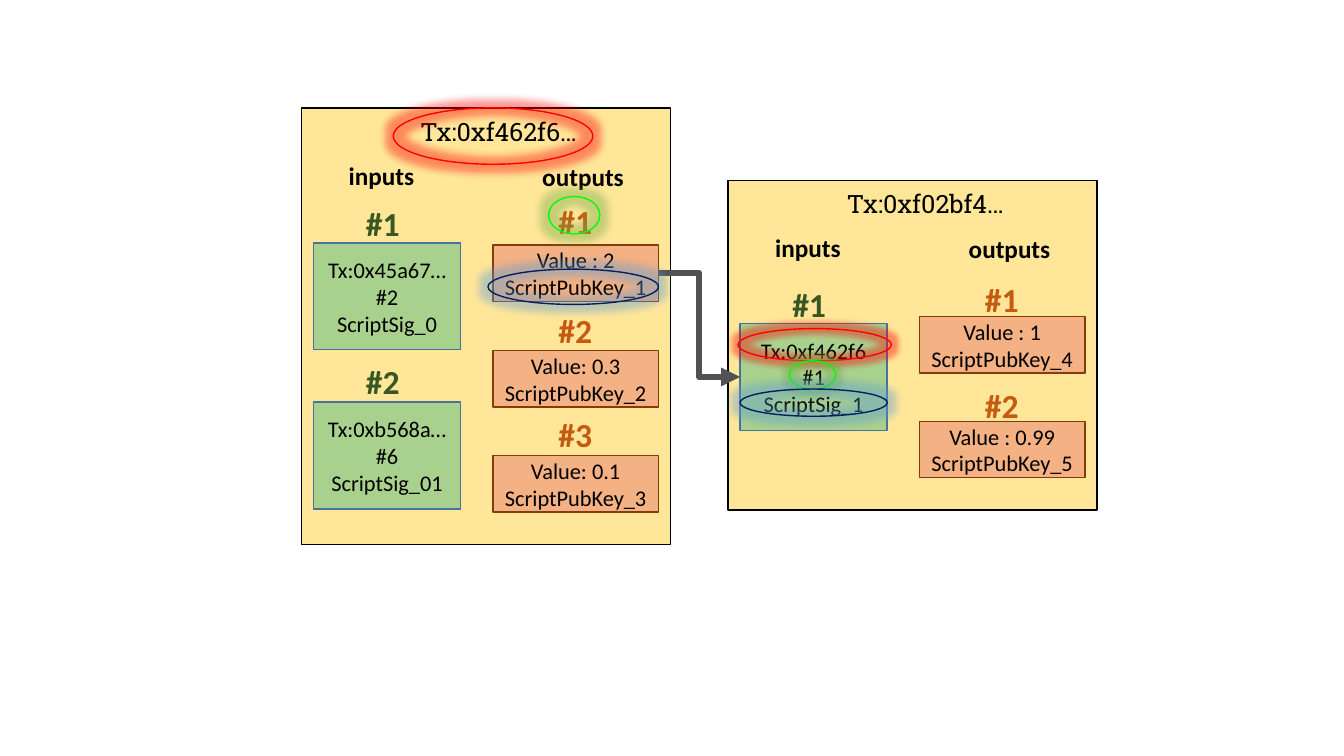
from lxml.etree import SubElement
from pptx import Presentation
from pptx.dml.color import RGBColor
from pptx.enum.shapes import MSO_CONNECTOR, MSO_SHAPE
from pptx.enum.text import MSO_ANCHOR, MSO_AUTO_SIZE, PP_ALIGN
from pptx.oxml.ns import qn
from pptx.util import Inches, Pt

BLACK = RGBColor(0x00, 0x00, 0x00)
PANEL_FILL = RGBColor(0xFF, 0xE6, 0x99)
INPUT_FILL = RGBColor(0xA9, 0xD1, 0x8E)
INPUT_LINE = RGBColor(0x43, 0x73, 0x9E)
INPUT_LABEL = RGBColor(0x38, 0x57, 0x23)
OUTPUT_FILL = RGBColor(0xF4, 0xB1, 0x83)
OUTPUT_LINE = RGBColor(0x84, 0x3C, 0x0B)
OUTPUT_LABEL = RGBColor(0xC5, 0x5A, 0x11)
ARROW = RGBColor(0x52, 0x52, 0x52)
RED = RGBColor(0xFF, 0x00, 0x00)
GREEN = RGBColor(0x00, 0xFF, 0x00)
NAVY = RGBColor(0x00, 0x20, 0x60)
GREEN_GLOW = RGBColor(0x70, 0xAD, 0x47)
BLUE_GLOW = RGBColor(0x5B, 0x9B, 0xD5)

# Places and sizes count cells of a square grid, ten to the inch.
CELL = Inches(0.1)
PANEL_WIDTH = 36.6
INPUT_SIZE = (14.6, 10.6)
OUTPUT_SIZE = (16.4, 5.6)
LABEL_SIZE = (5.7, 5.0)


def cells(*counts):
    return [round(count * CELL) for count in counts]


def add_outlined(slide, preset, place, line, fill=None):
    shape = slide.shapes.add_shape(preset, *cells(*place))
    shape.shadow.inherit = False
    if fill is None:
        shape.fill.background()
    else:
        shape.fill.solid()
        shape.fill.fore_color.rgb = fill
    shape.line.color.rgb = line
    shape.line.width = Pt(1)
    return shape


def format_font(paragraph, size, color=BLACK, name="Calibri", bold=False):
    font = paragraph.font
    font.size, font.name, font.bold = Pt(size), name, bold
    font.color.rgb = color


def add_text(slide, place, text, size=18, **style):
    frame = slide.shapes.add_textbox(*cells(*place)).text_frame
    frame.word_wrap = True
    frame.auto_size = MSO_AUTO_SIZE.SHAPE_TO_FIT_TEXT
    frame.text = text
    format_font(frame.paragraphs[0], size, **style)


def add_box(slide, place, lines, line, fill):
    box = add_outlined(slide, MSO_SHAPE.RECTANGLE, place, line, fill)
    frame = box.text_frame
    frame.vertical_anchor = MSO_ANCHOR.MIDDLE
    frame.text = "\n".join(lines)
    for paragraph in frame.paragraphs:
        paragraph.alignment = PP_ALIGN.CENTER
        format_font(paragraph, 16)
    return box


def add_transaction(slide, left, top, height, title, inputs, outputs):
    """Draw a panel; each entry is (label top, box top, lines). Return its boxes."""
    add_outlined(slide, MSO_SHAPE.RECTANGLE,
                 (left, top, PANEL_WIDTH, height), BLACK, PANEL_FILL)
    add_text(slide, (left + 10.8, top + 0.3, 19.8, 4), title, name="Roboto Slab")
    add_text(slide, (left + 3.7, top + 4.7, 9.5, 4), "inputs", bold=True)
    add_text(slide, (left + 22.9, top + 4.8, 10.4, 4), "outputs", bold=True)

    sides = (
        (inputs, 1.2, 5.4, INPUT_SIZE, INPUT_LABEL, INPUT_LINE, INPUT_FILL),
        (outputs, 19, 24.5, OUTPUT_SIZE, OUTPUT_LABEL, OUTPUT_LINE, OUTPUT_FILL),
    )
    boxes = []
    for entries, box_x, label_x, size, label_color, line, fill in sides:
        for number, (label_top, box_top, lines) in enumerate(entries, 1):
            boxes.append(add_box(slide, (left + box_x, box_top, *size),
                                 lines, line, fill))
            add_text(slide, (left + label_x, label_top, *LABEL_SIZE),
                     f"#{number}", 24, color=label_color, bold=True)
    return boxes


def add_effects(shape):
    return SubElement(shape._element.spPr, qn("a:effectLst"))


def add_spend_arrow(slide, output_box, input_box):
    arrow = slide.shapes.add_connector(MSO_CONNECTOR.ELBOW, 0, 0, 0, 0)
    arrow.begin_connect(output_box, 3)
    arrow.end_connect(input_box, 1)
    arrow.line.color.rgb = ARROW
    arrow.line.width = Pt(4.5)
    SubElement(arrow.line._get_or_add_ln(), qn("a:tailEnd"), type="triangle")
    add_effects(arrow)


def add_glowing_ring(slide, place, line, glow_color, radius):
    ring = add_outlined(slide, MSO_SHAPE.OVAL, place, line)
    effects = ring._element.spPr.find(qn("a:effectLst"))
    glow = SubElement(effects, qn("a:glow"), rad=str(Pt(radius)))
    color = SubElement(glow, qn("a:srgbClr"), val=str(glow_color))
    SubElement(color, qn("a:alpha"), val="40000")


def main():
    presentation = Presentation()
    presentation.slide_width = Inches(13.33)
    presentation.slide_height = Inches(7.5)
    slide = presentation.slides.add_slide(presentation.slide_layouts[6])

    funding_boxes = add_transaction(
        slide, 29.9, 10.7, 43.3, "Tx:0xf462f6…",
        [(19.6, 24.1, ("Tx:0x45a67…", "#2", "ScriptSig_0")),
         (35.3, 39.9, ("Tx:0xb568a…", "#6", "ScriptSig_01"))],
        [(19.4, 24.3, ("Value : 2", "ScriptPubKey_1")),
         (30.3, 34.8, ("Value: 0.3", "ScriptPubKey_2")),
         (40.6, 45.2, ("Value: 0.1", "ScriptPubKey_3"))])
    spending_boxes = add_transaction(
        slide, 72.2, 17.9, 32.7, "Tx:0xf02bf4…",
        [(27.7, 32.1, ("Tx:0xf462f6", "#1", "ScriptSig_1"))],
        [(27.2, 31.4, ("Value : 1", "ScriptPubKey_4")),
         (37.7, 41.8, ("Value : 0.99", "ScriptPubKey_5"))])

    first_output, spending_input = funding_boxes[2], spending_boxes[0]
    add_spend_arrow(slide, first_output, spending_input)

    for place, line, glow_color, radius in (
        ((39, 10.7, 19.8, 5.6), RED, RED, 11),
        ((73.2, 32.6, 15.2, 3.2), RED, RED, 8),
        ((78.3, 35.8, 4.6, 2.8), GREEN, GREEN_GLOW, 8),
        ((54.4, 19.5, 5.1, 3.7), GREEN, GREEN_GLOW, 11),
        ((48.4, 26.7, 16.9, 3.5), NAVY, BLUE_GLOW, 11),
        ((73.4, 38.6, 14.6, 2.7), NAVY, BLUE_GLOW, 11),
    ):
        add_glowing_ring(slide, place, line, glow_color, radius)

    presentation.save("out.pptx")


if __name__ == "__main__":
    main()
